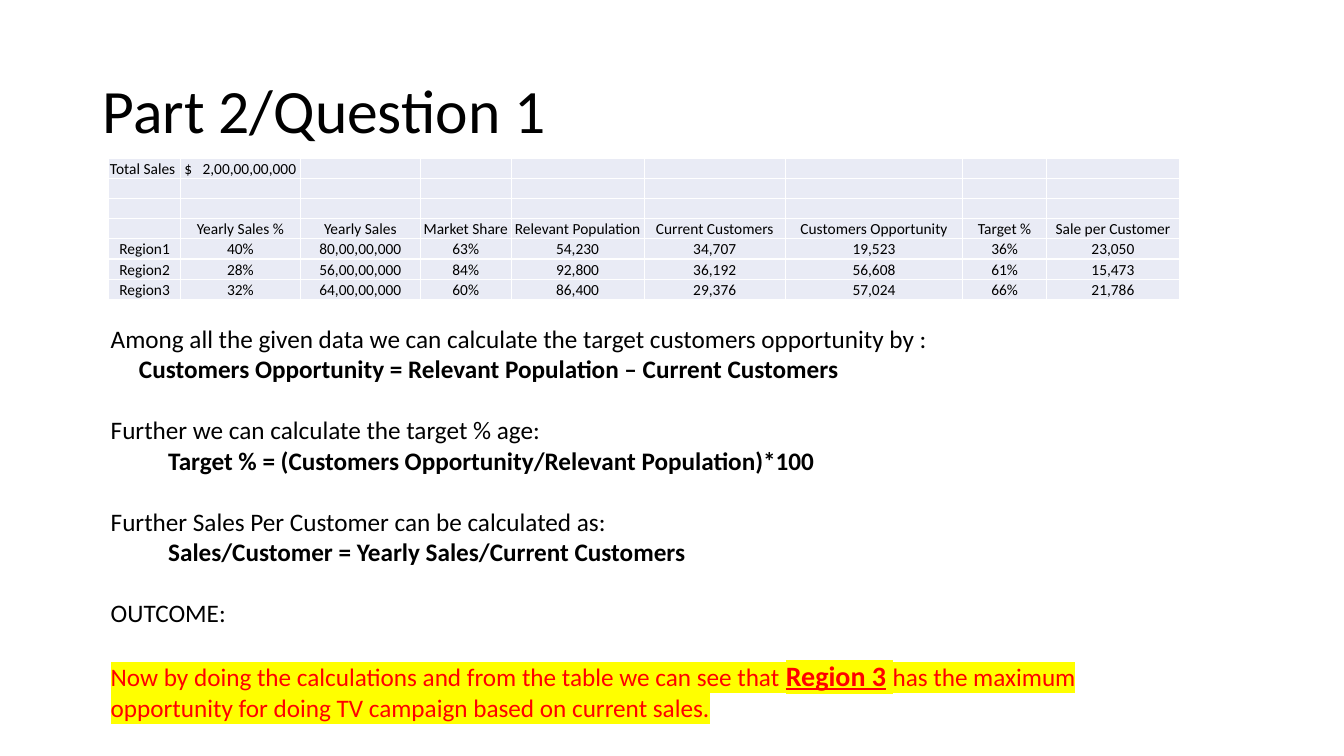
import pptx
import pptx.dml.color
import pptx.enum.text
import pptx.oxml
import pptx.oxml.ns
import pptx.util
from pptx.util import Inches

RGBColor = pptx.dml.color.RGBColor
BLACK = RGBColor(0x00, 0x00, 0x00)
WHITE = RGBColor(0xFF, 0xFF, 0xFF)
RED = RGBColor(0xFF, 0x00, 0x00)
YELLOW = RGBColor(0xFF, 0xFF, 0x00)
PALE_BLUE = RGBColor(0xE9, 0xEB, 0xF5)
FONT = "Calibri"
LINE_GAP = 22

COLUMN_WIDTHS = [0.71, 1.19, 1.19, 0.9, 1.32, 1.4, 1.76, 0.83, 1.32]
ROW_HEIGHT = 0.2
SALES_ROWS = [
    ["Total Sales", "$\t2,00,00,00,000"] + [""] * 7,
    [""] * 9,
    [""] * 9,
    ["", "Yearly Sales %", "Yearly Sales", "Market Share", "Relevant Population",
     "Current Customers", "Customers Opportunity", "Target %", "Sale per Customer"],
    ["Region1", "40%", "80,00,00,000", "63%", "54,230", "34,707", "19,523", "36%", "23,050"],
    ["Region2", "28%", "56,00,00,000", "84%", "92,800", "36,192", "56,608", "61%", "15,473"],
    ["Region3", "32%", "64,00,00,000", "60%", "86,400", "29,376", "57,024", "66%", "21,786"],
]

EXPLANATION = [
    ("Among all the given data we can calculate the target customers opportunity by :", 0, False, 0),
    ("Customers Opportunity = Relevant Population – Current Customers", 0.28, True, 0),
    ("Further we can calculate the target % age:", 0, False, LINE_GAP),
    ("Target % = (Customers Opportunity/Relevant Population)*100", 0.57, True, 0),
    ("Further Sales Per Customer can be calculated as:", 0, False, LINE_GAP),
    ("Sales/Customer = Yearly Sales/Current Customers", 0.57, True, 0),
    ("OUTCOME:", 0, False, LINE_GAP),
]
OUTCOME = [
    ("Now by doing the calculations and from the table we can see that ", 18, False, False),
    ("Region 3", 20, True, True),
    (" ", 20, True, False),
    ("has the maximum opportunity for doing TV campaign based on current sales.", 18, False, False),
]


def make_element(xml):
    """Parse a DrawingML fragment whose root has the a: prefix."""
    tag, rest = xml[1:].split(" ", 1)
    return pptx.oxml.parse_xml(f"<{tag} {pptx.oxml.ns.nsdecls('a')} {rest}")


def style_run(run, size, color=BLACK, bold=False):
    """Set the font, size, colour and weight of a run."""
    run.font.name = FONT
    run.font.size = pptx.util.Pt(size)
    run.font.color.rgb = color
    run.font.bold = bold


def highlight_run(run, color):
    """Put a marker colour behind a run."""
    marker = make_element(f'<a:highlight ><a:srgbClr val="{color}"/></a:highlight>')
    fill = run.font._element.find(pptx.oxml.ns.qn("a:solidFill"))
    fill.addnext(marker)


def add_text_frame(slide, left, top, width, height):
    """Add a wrapping text box and return its text frame."""
    box = slide.shapes.add_textbox(Inches(left), Inches(top), Inches(width), Inches(height))
    box.text_frame.word_wrap = True
    return box.text_frame


def add_title(slide, title):
    """Add the slide heading."""
    frame = add_text_frame(slide, 0.92, 0.4, 11.5, 1.45)
    frame.vertical_anchor = pptx.enum.text.MSO_ANCHOR.MIDDLE
    frame.text = title
    heading = frame.paragraphs[0]
    heading.line_spacing = 0.9
    style_run(heading.runs[0], 44)


def style_cell(cell):
    """Give a table cell its borders, fill, margins and anchor."""
    for side in "LRTB":
        cell._tc.get_or_add_tcPr().append(make_element(
            f'<a:ln{side} w="12700"><a:solidFill><a:srgbClr val="{WHITE}"/>'
            f'</a:solidFill></a:ln{side}>'))
    cell.fill.solid()
    cell.fill.fore_color.rgb = PALE_BLUE
    cell.margin_left = cell.margin_right = cell.margin_top = Inches(0.01)
    cell.margin_bottom = 0
    cell.vertical_anchor = pptx.enum.text.MSO_ANCHOR.BOTTOM


def fill_cell(cell, value, centered):
    """Write a value into a styled cell, a tab pushing the amount to the right."""
    style_cell(cell)
    paragraph = cell.text_frame.paragraphs[0]
    if centered:
        paragraph.alignment = pptx.enum.text.PP_ALIGN.CENTER
    if "\t" in value:
        cell.margin_left = Inches(0.04)
        paragraph._p.get_or_add_pPr().append(make_element(
            f'<a:tabLst ><a:tab pos="{Inches(1.11)}" algn="r"/></a:tabLst>'))
    if value:
        paragraph.text = value
        style_run(paragraph.runs[0], 11)
    else:
        paragraph._p.append(make_element('<a:endParaRPr sz="1100"/>'))


def add_sales_table(slide):
    """Add the table of sales and customers by region."""
    sales = slide.shapes.add_table(
        len(SALES_ROWS), len(COLUMN_WIDTHS), Inches(1.08), Inches(1.57),
        Inches(sum(COLUMN_WIDTHS)), Inches(ROW_HEIGHT * len(SALES_ROWS))).table
    sales.first_row = False
    sales.horz_banding = False
    for column, width in zip(sales.columns, COLUMN_WIDTHS):
        column.width = Inches(width)
    for row_index, values in enumerate(SALES_ROWS):
        sales.rows[row_index].height = Inches(ROW_HEIGHT)
        for column_index, value in enumerate(values):
            fill_cell(sales.cell(row_index, column_index), value, row_index > 0)


def add_explanation(slide):
    """Add the formulas and the highlighted outcome."""
    frame = add_text_frame(slide, 1, 3.16, 10.64, 4.64)
    frame.auto_size = pptx.enum.text.MSO_AUTO_SIZE.SHAPE_TO_FIT_TEXT
    for index, (sentence, indent, bold, gap) in enumerate(EXPLANATION):
        paragraph = frame.add_paragraph() if index else frame.paragraphs[0]
        paragraph.text = sentence
        paragraph.space_before = pptx.util.Pt(gap)
        paragraph._p.get_or_add_pPr().set("marL", str(Inches(indent)))
        style_run(paragraph.runs[0], 18, bold=bold)
    outcome = frame.add_paragraph()
    outcome.space_before = pptx.util.Pt(LINE_GAP)
    for words, size, bold, underlined in OUTCOME:
        run = outcome.add_run()
        run.text = words
        style_run(run, size, RED, bold)
        run.font.underline = underlined
        highlight_run(run, YELLOW)


def main():
    """Build the slide and save it."""
    deck = pptx.Presentation()
    deck.slide_width = Inches(13.33)
    deck.slide_height = Inches(7.5)
    slide = deck.slides.add_slide(deck.slide_layouts[6])
    add_title(slide, "Part 2/Question 1")
    add_sales_table(slide)
    add_explanation(slide)
    deck.save("out.pptx")


if __name__ == "__main__":
    main()
